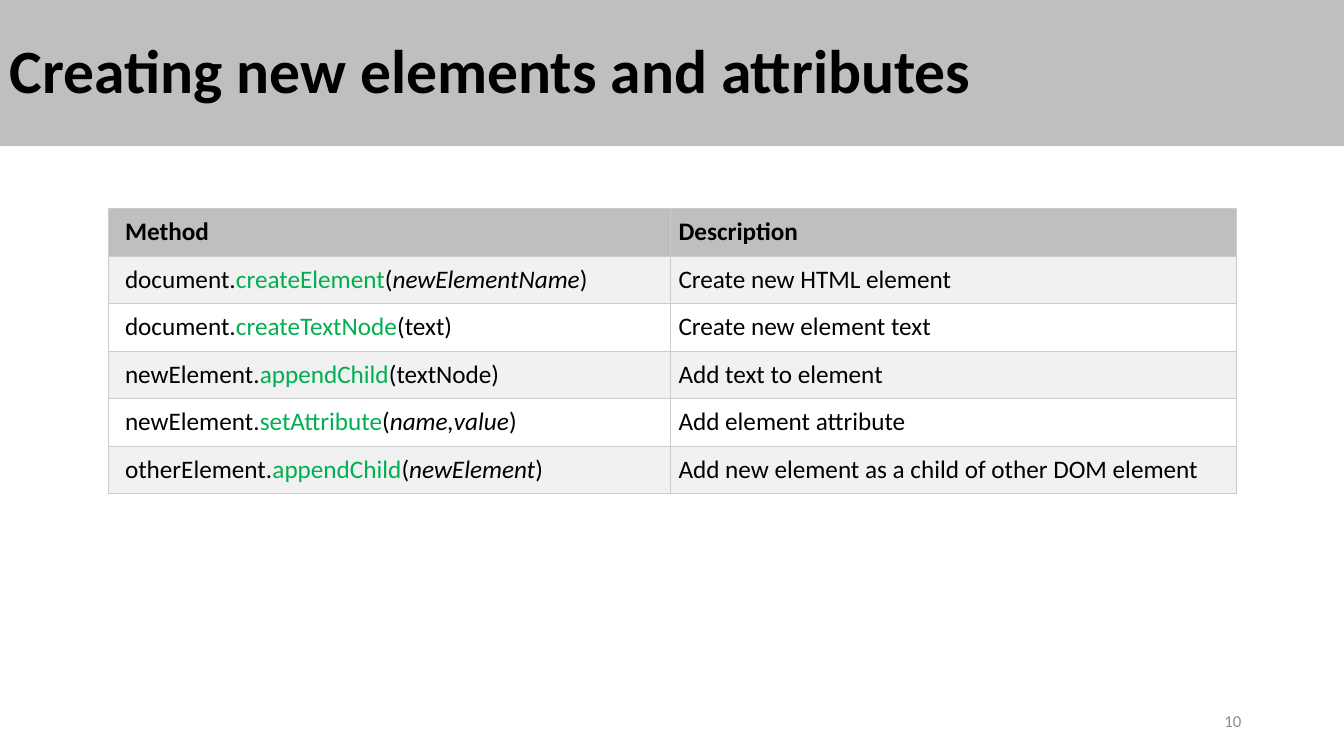
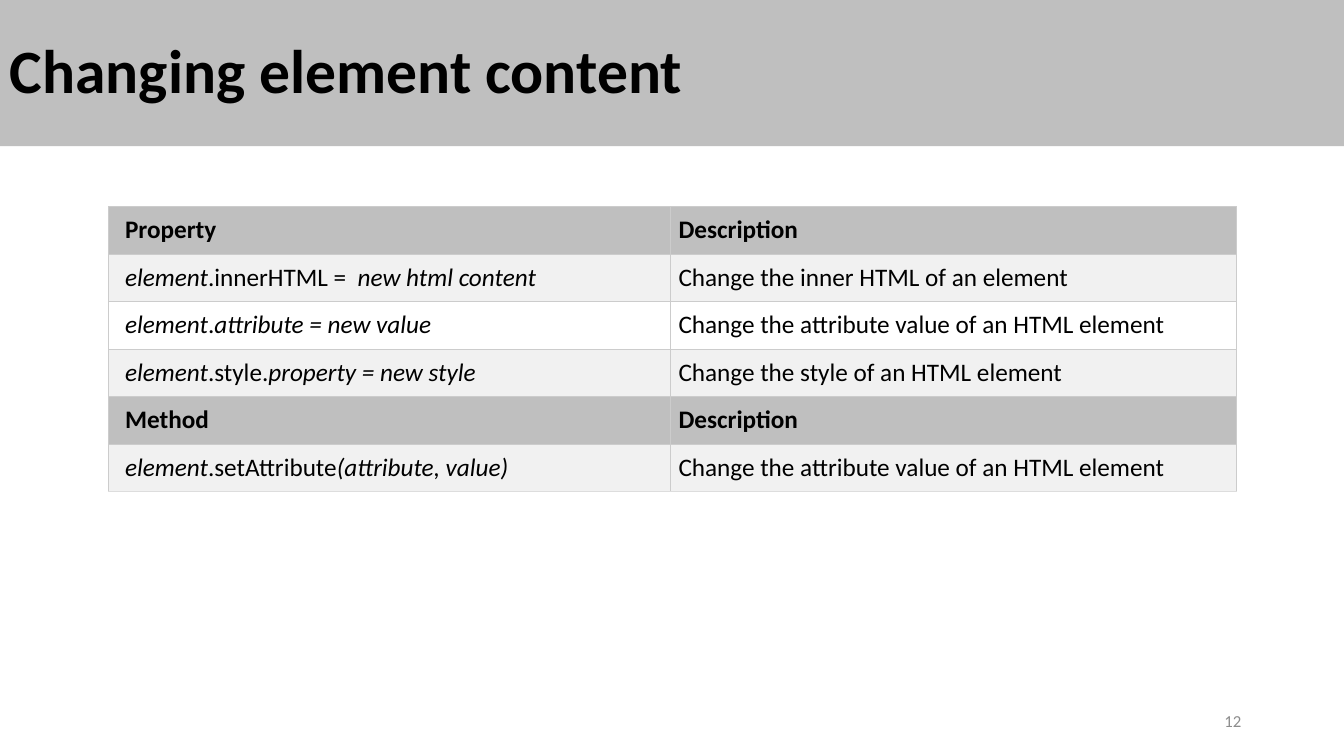
from dataclasses import dataclass

from lxml import etree
from pptx import Presentation
from pptx.dml.color import RGBColor
from pptx.enum.shapes import MSO_SHAPE
from pptx.enum.text import MSO_ANCHOR, PP_ALIGN
from pptx.oxml.ns import qn
from pptx.util import Inches, Pt


@dataclass(frozen=True)
class Theme:
    font: str = "Calibri"
    ink: str = "000000"
    accent: str = "00B050"
    muted: str = "8C8C8C"
    band: str = "BFBFBF"
    stripe: str = "F1F1F1"
    paper: str = "FFFFFF"
    grid: str = "CCCCCC"
    grid_end: str = "DDDDDD"
    title_size: int = 44
    table_size: int = 18
    number_size: int = 12
    grid_width: float = 0.75


THEME = Theme()
WIDTH, HEIGHT = 13.33, 7.5

# Boxes on the slide: left, top, width, height
TITLE_BOX = (0, 0, WIDTH, 1.45)
NUMBER_BOX = (9.41, 6.95, 3, 0.4)
TABLE_LEFT, TABLE_HEIGHT = 1.08, 2.83
COLUMN_WIDTHS = (5.57, 5.61)
CELL_INSET, FIRST_INSET = 0.08, 0.16

# Run styles
PLAIN, ITALIC, GREEN = "plain", "italic", "green"


def inches(box):
    return [Inches(length) for length in box]


def rgb(color):
    return RGBColor.from_string(color)


def add_run(paragraph, text, size, color=THEME.ink, bold=False, italic=False):
    run = paragraph.add_run()
    run.text = text
    font = run.font
    font.name, font.size = THEME.font, Pt(size)
    font.bold, font.italic = bold, italic
    font.color.rgb = rgb(color)


def add_title(slide, box, text):
    band = slide.shapes.add_shape(MSO_SHAPE.RECTANGLE, *inches(box))
    band.shadow.inherit = False
    band.fill.solid()
    band.fill.fore_color.rgb = rgb(THEME.band)
    band.line.fill.background()
    frame = band.text_frame
    frame.word_wrap = True
    frame.vertical_anchor = MSO_ANCHOR.MIDDLE
    paragraph = frame.paragraphs[0]
    paragraph.alignment = PP_ALIGN.LEFT
    paragraph.line_spacing = 0.9
    add_run(paragraph, text, THEME.title_size, bold=True)


def add_number(slide, box, number):
    frame = slide.shapes.add_textbox(*inches(box)).text_frame
    frame.word_wrap = True
    frame.vertical_anchor = MSO_ANCHOR.MIDDLE
    paragraph = frame.paragraphs[0]
    paragraph.alignment = PP_ALIGN.RIGHT
    add_run(paragraph, str(number), THEME.number_size, THEME.muted)


def set_borders(cell, bottom):
    properties = cell._tc.get_or_add_tcPr()
    for side in ("lnL", "lnR", "lnT", "lnB"):
        line = etree.SubElement(properties, qn(f"a:{side}"),
                                w=str(Pt(THEME.grid_width)))
        fill = etree.SubElement(line, qn("a:solidFill"))
        color = bottom if side == "lnB" else THEME.grid
        etree.SubElement(fill, qn("a:srgbClr"), val=color)


def fill_cell(cell, runs, fill, inset, bold, bottom):
    cell.margin_left = Inches(inset)
    cell.margin_right = cell.margin_top = cell.margin_bottom = Inches(CELL_INSET)
    set_borders(cell, bottom)
    cell.fill.solid()
    cell.fill.fore_color.rgb = rgb(fill)
    for text, style in runs:
        add_run(cell.text_frame.paragraphs[0], text, THEME.table_size,
                THEME.accent if style == GREEN else THEME.ink,
                bold, style == ITALIC)


def add_reference_table(slide, box, rows, headings, end_line):
    """Rows pair a list of runs with a description; headings are row indexes."""
    table = slide.shapes.add_table(len(rows), 2, *inches(box)).table
    table.first_row = table.horz_banding = False
    for column, width in zip(table.columns, COLUMN_WIDTHS):
        column.width = Inches(width)
    for index, (term, description) in enumerate(rows):
        table.rows[index].height = Inches(box[3] / len(rows))
        heading = index in headings
        fill = (THEME.band if heading
                else THEME.stripe if index % 2 else THEME.paper)
        bottom = end_line if index == len(rows) - 1 else THEME.grid
        cells = ((term, FIRST_INSET), ([(description, PLAIN)], CELL_INSET))
        for column, (runs, inset) in enumerate(cells):
            fill_cell(table.cell(index, column), runs, fill, inset,
                      heading, bottom)


def add_reference_slide(deck, title, number, top, rows, headings=(0,),
                        end_line=THEME.grid):
    slide = deck.slides.add_slide(deck.slide_layouts[6])
    table_box = (TABLE_LEFT, top, sum(COLUMN_WIDTHS), TABLE_HEIGHT)
    add_reference_table(slide, table_box, rows, headings, end_line)
    add_number(slide, NUMBER_BOX, number)
    add_title(slide, TITLE_BOX, title)


def call(owner, method, argument, style=ITALIC):
    return [(owner + ".", PLAIN), (method, GREEN), ("(", PLAIN),
            (argument, style), (")", PLAIN)]


def member(plain, italic):
    return [("element", ITALIC), (plain, PLAIN), (italic, ITALIC)]


# Content
METHOD_HEADING = ([("Method", PLAIN)], "Description")
CREATING = [
    METHOD_HEADING,
    (call("document", "createElement", "newElementName"),
     "Create new HTML element"),
    (call("document", "createTextNode", "text", PLAIN),
     "Create new element text"),
    (call("newElement", "appendChild", "textNode", PLAIN),
     "Add text to element"),
    (call("newElement", "setAttribute", "name,value"),
     "Add element attribute"),
    (call("otherElement", "appendChild", "newElement"),
     "Add new element as a child of other DOM element"),
]
CHANGING = [
    ([("Property", PLAIN)], "Description"),
    (member(".innerHTML =\u00a0\u00a0", "new html content"),
     "Change the inner HTML of an element"),
    (member(".", "attribute = new value"),
     "Change the attribute value of an HTML element"),
    (member(".style.", "property = new style"),
     "Change the style of an HTML element"),
    METHOD_HEADING,
    (member(".setAttribute", "(attribute, value)"),
     "Change the attribute value of an HTML element"),
]

# Deck
deck = Presentation()
deck.slide_width, deck.slide_height = Inches(WIDTH), Inches(HEIGHT)
add_reference_slide(deck, "Creating new elements and attributes", 10, 2.07,
                    CREATING)
add_reference_slide(deck, "Changing element content", 12, 2.05, CHANGING,
                    headings=(0, 4), end_line=THEME.grid_end)
deck.save("out.pptx")
